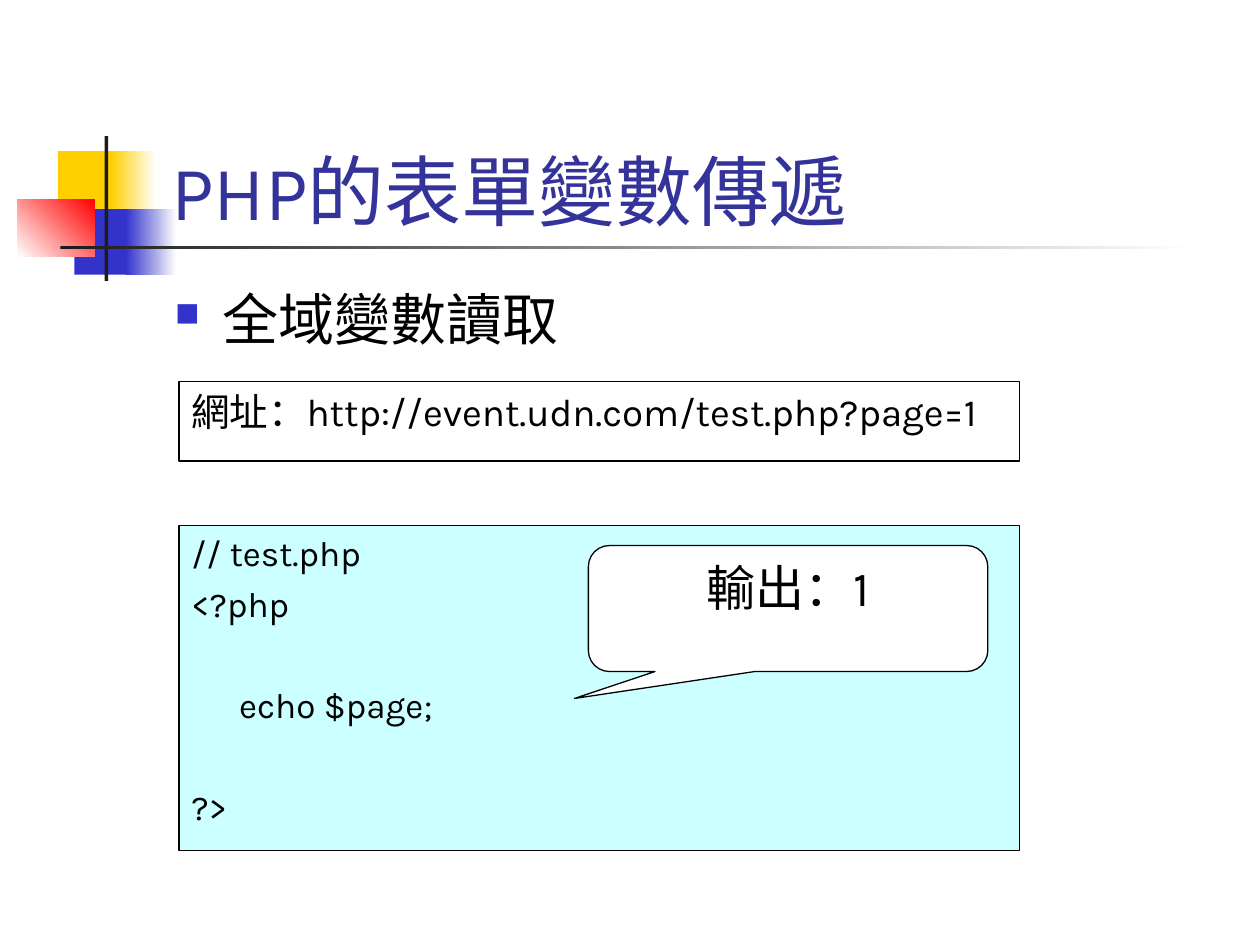
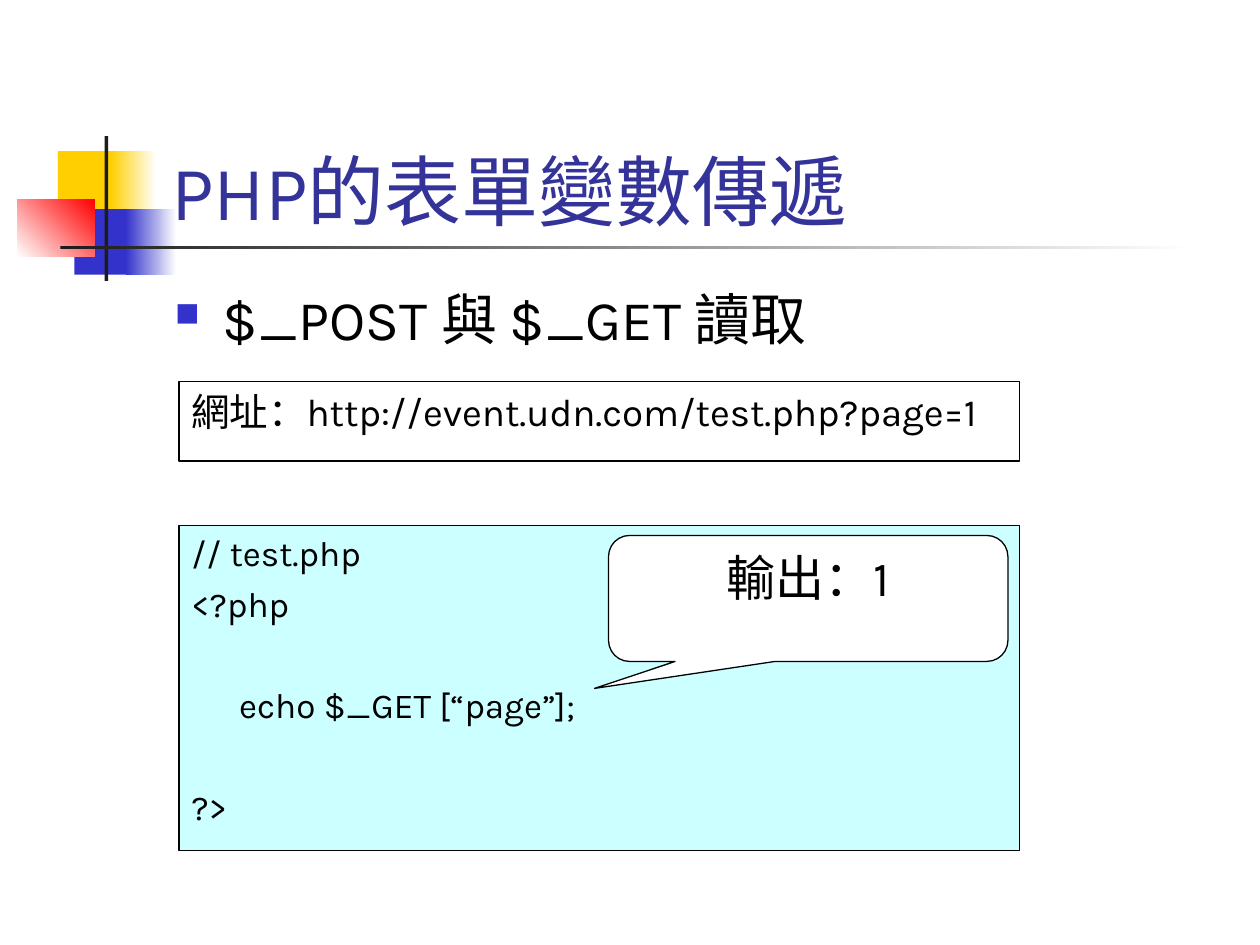
from lxml.etree import SubElement
from pptx import Presentation
from pptx.dml.color import RGBColor
from pptx.enum.shapes import MSO_SHAPE as Shape
from pptx.enum.text import MSO_ANCHOR as Anchor, PP_ALIGN as Align
from pptx.oxml.ns import qn
from pptx.util import Inches, Pt

COLORS = {
    "yellow": "FFCF01",
    "blue": "3333CC",
    "red": "FF0000",
    "dark": "1C1C1C",
    "title": "333399",
    "code": "CCFFFF",
    "white": "FFFFFF",
    "black": "000000",
}
FONT = "Karla"
TITLE = "PHP的表單變數傳遞"
URL = "網址：http://event.udn.com/test.php?page=1"
OUTPUT = "輸出：1"
CODE = "// test.php\n<?php\n\n\techo {};\n\n?>"

# heading, echoed variable, left and top of the callout
SLIDES = [
    ("全域變數讀取", "$page", (4.67, 4.33)),
    ("$_POST 與 $_GET 讀取", "$_GET [“page”]", (4.83, 4.25)),
]

# box, fill colours (two make a gradient), gradient angle
DECORATION = [
    ((0.46, 1.2, 0.48, 0.52), ("yellow",), 0),
    ((0.88, 1.2, 0.36, 0.52), ("yellow", "white"), 0),
    ((0.59, 1.66, 0.46, 0.52), ("blue",), 0),
    ((1, 1.66, 0.4, 0.52), ("blue", "white"), 0),
    ((0.14, 1.58, 0.61, 0.46), ("white", "red"), 45),
    ((0.83, 1.08, 0.03, 1.15), ("dark",), 0),
    ((0.48, 1.95, 9, 0.03), ("dark", "white"), 0),
]

TITLE_BOX = (1.26, 0.67, 8.52, 1.25)
HEADING_BOX = (1.29, 2.21, 7.46, 0.71)
PANEL_LEFT, PANEL_WIDTH = 1.42, 6.67
URL_BOX = (PANEL_LEFT, 3.03, PANEL_WIDTH, 0.63)
CODE_BOX = (PANEL_LEFT, 4.17, PANEL_WIDTH, 2.58)
CALLOUT_SIZE = (3.17, 1)
CALLOUT_ADJUSTMENTS = (-0.535, 0.714, 0.167)
INDENT = 0.38
CODE_SPACING = 5
CODE_LINE = 29  # line pitch of the code in points, spacing included


def rgb(name):
    return RGBColor.from_string(COLORS[name])


def add_shape(slide, kind, box, fills, angle=0, outlined=False):
    shape = slide.shapes.add_shape(kind, *map(Inches, box))
    shape.shadow.inherit = False
    if len(fills) == 1:
        shape.fill.solid()
        shape.fill.fore_color.rgb = rgb(fills[0])
    else:
        shape.fill.gradient()
        shape.fill.gradient_angle = angle
        for stop, name in zip(shape.fill.gradient_stops, fills):
            stop.color.rgb = rgb(name)
    if outlined:
        shape.line.color.rgb = rgb("black")
        shape.line.width = Pt(0.75)
    else:
        shape.line.fill.background()
    return shape


def set_hanging_indent(paragraph):
    properties = paragraph._p.get_or_add_pPr()
    properties.set("marL", str(Inches(INDENT)))
    properties.set("indent", str(-Inches(INDENT)))
    return properties


def add_bullet(paragraph):
    properties = set_hanging_indent(paragraph)
    color = SubElement(properties, qn("a:buClr"))
    SubElement(color, qn("a:srgbClr"), val=COLORS["blue"])
    SubElement(properties, qn("a:buSzPct"), val="60000")
    SubElement(properties, qn("a:buChar"), char="■")


def write(shape, text, size, color="black", align=Align.LEFT,
          anchor=Anchor.TOP, style=None):
    """Fill a shape with text; an empty line becomes space before the next."""
    frame = shape.text_frame
    frame.word_wrap = True
    frame.vertical_anchor = anchor
    paragraph, gap = frame.paragraphs[0], 0
    for number, line in enumerate(text.split("\n")):
        if not line:
            gap += CODE_LINE
            continue
        if number:
            paragraph = frame.add_paragraph()
            paragraph.space_before = Pt(CODE_SPACING + gap)
            gap = 0
        paragraph.text = line
        paragraph.alignment = align
        if style:
            style(paragraph)
        paragraph.font.name = FONT
        paragraph.font.size = Pt(size)
        paragraph.font.color.rgb = rgb(color)


def add_text(slide, box, text, size, **options):
    write(slide.shapes.add_textbox(*map(Inches, box)), text, size, **options)


def add_panel(slide, box, fill, text, size):
    panel = add_shape(slide, Shape.RECTANGLE, box, (fill,), outlined=True)
    write(panel, text, size, style=set_hanging_indent)


def add_callout(slide, position):
    callout = add_shape(slide, Shape.ROUNDED_RECTANGULAR_CALLOUT,
                        position + CALLOUT_SIZE, ("white",), outlined=True)
    for index, value in enumerate(CALLOUT_ADJUSTMENTS):
        callout.adjustments[index] = value
    write(callout, OUTPUT, 28, align=Align.CENTER)


def build_slide(presentation, heading, variable, callout_position):
    slide = presentation.slides.add_slide(presentation.slide_layouts[6])
    for box, fills, angle in DECORATION:
        add_shape(slide, Shape.RECTANGLE, box, fills, angle)
    add_text(slide, TITLE_BOX, TITLE, 44, color="title", anchor=Anchor.BOTTOM)
    add_text(slide, HEADING_BOX, heading, 32, style=add_bullet)
    add_panel(slide, URL_BOX, "white", URL, 22)
    add_panel(slide, CODE_BOX, "code", CODE.format(variable), 20)
    add_callout(slide, callout_position)


def main():
    presentation = Presentation()
    presentation.slide_width = Inches(10)
    presentation.slide_height = Inches(7.5)
    for content in SLIDES:
        build_slide(presentation, *content)
    presentation.save("out.pptx")


if __name__ == "__main__":
    main()
